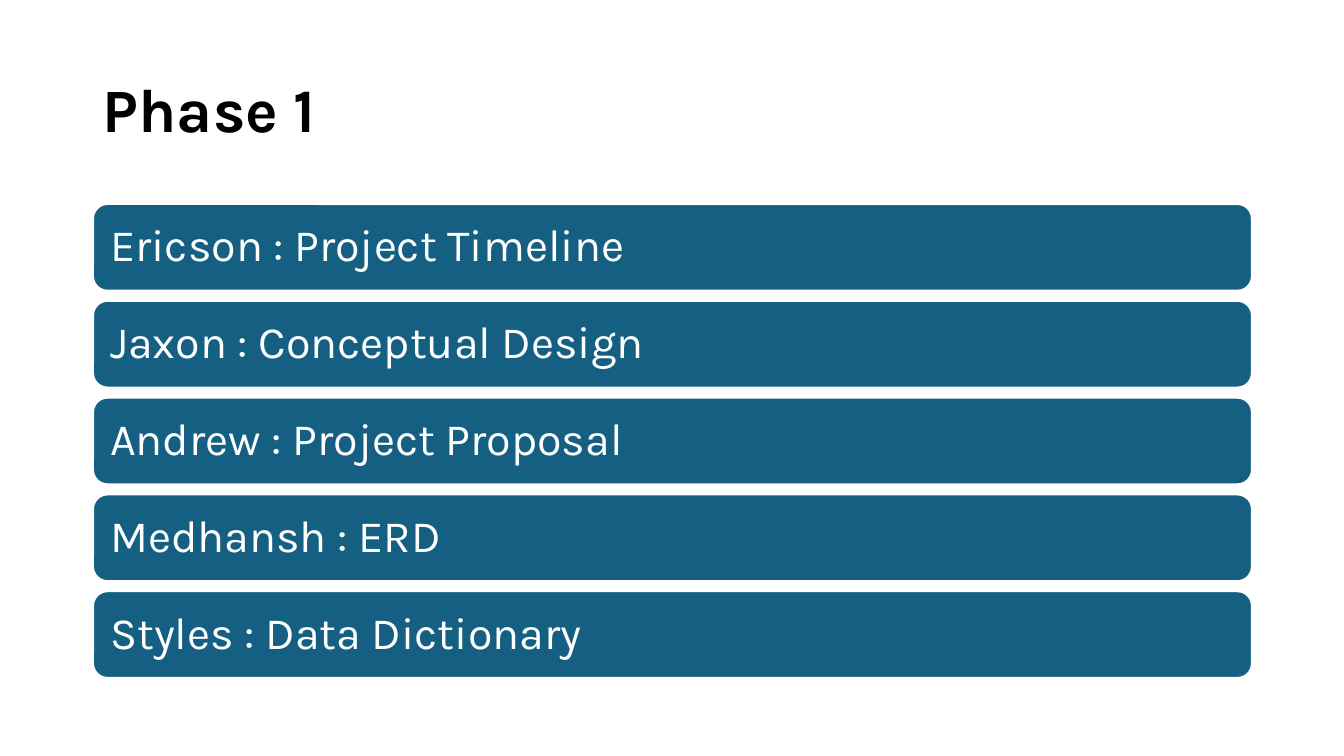
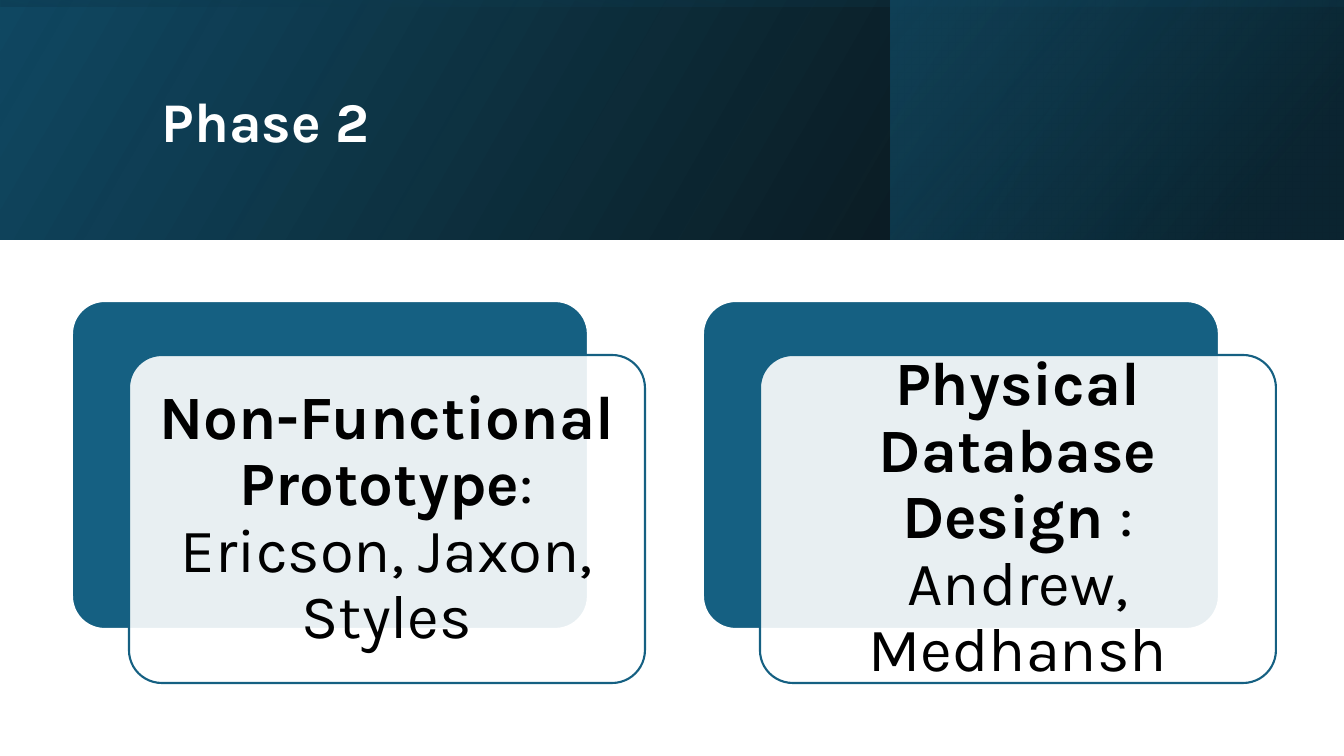
from lxml import etree
from pptx import Presentation
from pptx.dml.color import RGBColor
from pptx.enum.shapes import MSO_SHAPE as Shape
from pptx.enum.text import MSO_ANCHOR as Anchor, PP_ALIGN as Align
from pptx.oxml import parse_xml
from pptx.oxml.ns import nsdecls, qn
from pptx.util import Emu, Pt

SLIDE_WIDTH, SLIDE_HEIGHT = 1344, 756
SCALE = 12192000 / SLIDE_WIDTH
FONT = "Karla"
BLACK = RGBColor(0x00, 0x00, 0x00)
WHITE = RGBColor(0xFF, 0xFF, 0xFF)
TEAL = RGBColor(0x15, 0x60, 0x82)
DEEP_TEAL = RGBColor(0x10, 0x48, 0x62)
NIGHT_TEAL = RGBColor(0x0B, 0x30, 0x41)

PHASE_1_TASKS = [
    "Ericson : Project Timeline",
    "Jaxon : Conceptual Design",
    "Andrew : Project Proposal",
    "Medhansh : ERD",
    "Styles : Data Dictionary",
]
PHASE_2_TASKS = [
    ("Non-Functional Prototype", ": Ericson, Jaxon, Styles"),
    ("Physical Database Design ", ": Andrew, Medhansh"),
]


def px(length):
    """Turn a length in px into EMU."""
    return Emu(round(length * SCALE))


def add_box(slide, kind, box):
    """Add a preset shape without shadow in a (left, top, width, height) box."""
    shape = slide.shapes.add_shape(kind, *map(px, box))
    shape.shadow.inherit = False
    return shape


def add_round_box(slide, box, fill, line, corner):
    """Add a filled and outlined rounded rectangle."""
    shape = add_box(slide, Shape.ROUNDED_RECTANGLE, box)
    shape.adjustments[0] = corner
    shape.fill.solid()
    shape.fill.fore_color.rgb = fill
    shape.line.color.rgb = line
    shape.line.width = Pt(1.5)
    return shape


def write_text(shape, runs, size, color, align=Align.LEFT, inset=None):
    """Write one vertically centred paragraph from (text, bold) runs."""
    frame = shape.text_frame
    frame.word_wrap = True
    frame.vertical_anchor = Anchor.MIDDLE
    if inset is not None:
        frame.margin_left = frame.margin_right = px(inset)
        frame.margin_top = frame.margin_bottom = px(inset)
    paragraph = frame.paragraphs[0]
    paragraph.alignment = align
    paragraph.line_spacing = 0.9
    for text, bold in runs:
        run = paragraph.add_run()
        run.text = text
        run.font.name = FONT
        run.font.size = Pt(size)
        run.font.bold = bold
        run.font.color.rgb = color


def add_title(slide, box, text, size, color):
    """Add the bold slide title."""
    title = slide.shapes.add_textbox(*map(px, box))
    write_text(title, [(text, True)], size, color)


def add_gradient_band(slide, box, stops, angle, rotation=0):
    """Add a mirrored band with (position, colour, opacity) gradient stops."""
    band = add_box(slide, Shape.RECTANGLE, box)
    band.rotation = rotation
    band.line.fill.background()
    properties = band._element.spPr
    properties.find(qn("a:xfrm")).set("flipH", "1")
    gradient = parse_xml(f'<a:gradFill {nsdecls("a")} rotWithShape="1"/>')
    stop_list = etree.SubElement(gradient, qn("a:gsLst"))
    for position, color, opacity in stops:
        stop = etree.SubElement(stop_list, qn("a:gs"), pos=str(position * 1000))
        tint = etree.SubElement(stop, qn("a:srgbClr"), val=str(color))
        etree.SubElement(tint, qn("a:alpha"), val=str(opacity * 1000))
    etree.SubElement(gradient, qn("a:lin"), ang=str(angle * 60000), scaled="0")
    properties.find(qn("a:prstGeom")).addnext(gradient)


def add_header(slide, box):
    """Layer three gradient bands over the header box."""
    left, top, width, height = box
    accent_width = 452
    shift = (width - height) // 2
    add_gradient_band(slide, box, [(0, BLACK, 96), (100, DEEP_TEAL, 100)], 330)
    add_gradient_band(
        slide, (left + width - accent_width - 1, top, accent_width, height),
        [(19, NIGHT_TEAL, 68), (100, TEAL, 48)], 320)
    add_gradient_band(
        slide, (left + shift, top - shift, height, width),
        [(23, DEEP_TEAL, 16), (99, BLACK, 45)], 350, rotation=270)


def add_task_bars(slide, box, tasks):
    """Stack one bar per task evenly in the box."""
    left, top, width, height = box
    gap = 10
    bar_height = (height - gap * (len(tasks) - 1)) / len(tasks)
    for index, task in enumerate(tasks):
        bar_top = top + index * (bar_height + gap)
        bar = add_round_box(
            slide, (left, bar_top, width, bar_height), TEAL, WHITE, 0.1667)
        write_text(bar, [(task, False)], 32, WHITE, inset=13)


def add_task_card(slide, box, heading, people):
    """Add a teal plate with a translucent text card shifted over it."""
    left, top, width, height = box
    shift_x, shift_y = 57, 54
    plate_width, plate_height = width - shift_x, height - shift_y
    add_round_box(slide, (left, top, plate_width, plate_height), TEAL, WHITE, 0.1)
    card = add_round_box(
        slide, (left + shift_x, top + shift_y, plate_width, plate_height),
        WHITE, TEAL, 0.1)
    fill_color = card._element.spPr.find(qn("a:solidFill"))[0]
    etree.SubElement(fill_color, qn("a:alpha"), val="90000")
    write_text(card, [(heading, True), (people, False)], 44, BLACK,
               Align.CENTER, 18)


def build_phase_1(slide):
    """Build the slide with the list of task bars."""
    add_title(slide, (93, 40, 1159, 146), "Phase 1", 44, BLACK)
    add_task_bars(slide, (93, 204, 1159, 474), PHASE_1_TASKS)


def build_phase_2(slide):
    """Build the slide with the header and the two task cards."""
    add_header(slide, (0, 0, SLIDE_WIDTH, 240))
    add_title(slide, (152, 38, 1071, 173), "Phase 2", 40, WHITE)
    card_width, gap = 573, 58
    for index, (heading, people) in enumerate(PHASE_2_TASKS):
        left = 72 + index * (card_width + gap)
        add_task_card(slide, (left, 301, card_width, 382), heading, people)


def main():
    """Build and save the presentation."""
    presentation = Presentation()
    presentation.slide_width = px(SLIDE_WIDTH)
    presentation.slide_height = px(SLIDE_HEIGHT)
    for build in (build_phase_1, build_phase_2):
        build(presentation.slides.add_slide(presentation.slide_layouts[6]))
    presentation.save("out.pptx")


if __name__ == "__main__":
    main()
